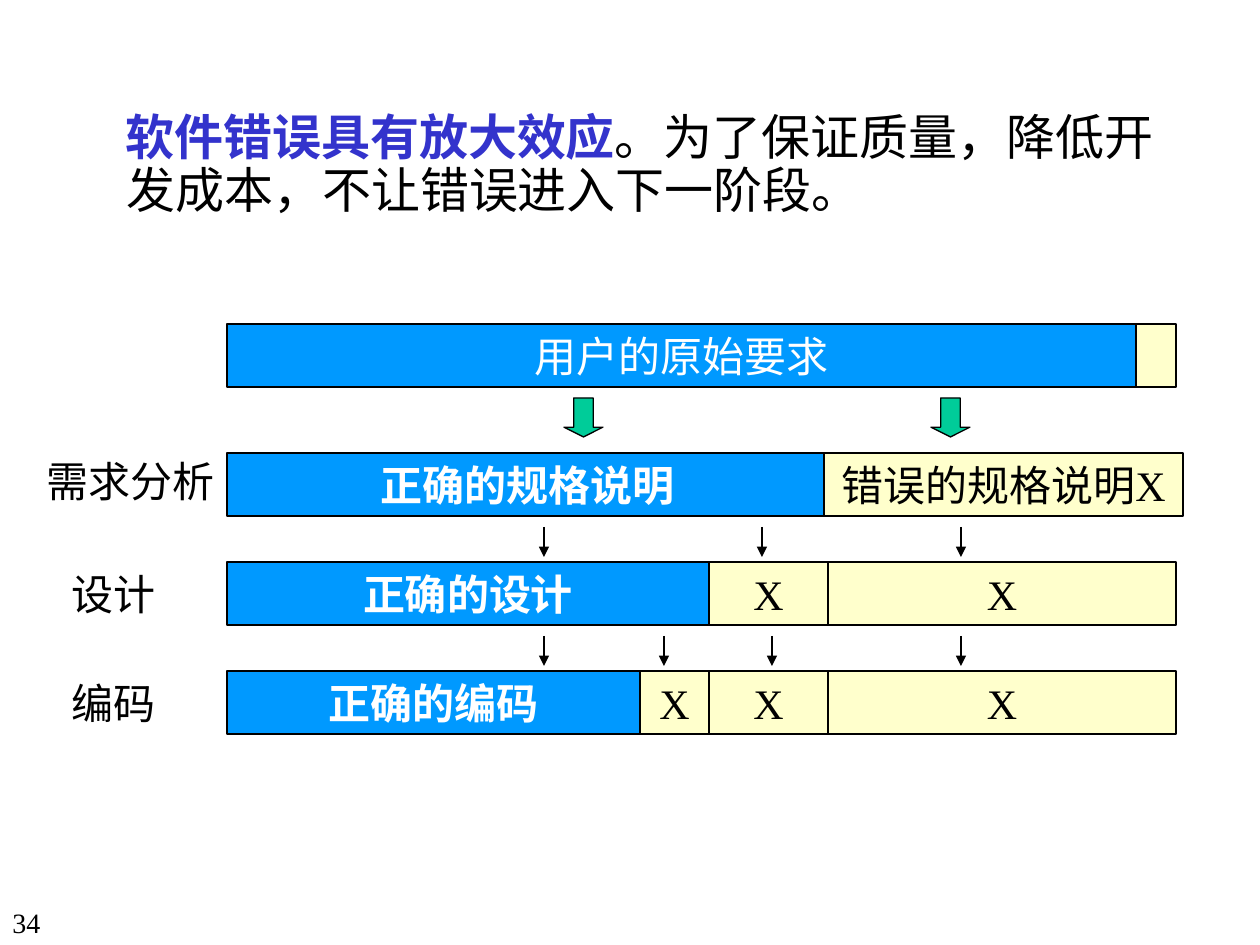
from dataclasses import dataclass

from lxml.etree import SubElement
from pptx import Presentation
from pptx.dml.color import RGBColor
from pptx.enum.shapes import MSO_CONNECTOR, MSO_SHAPE
from pptx.enum.text import MSO_ANCHOR, MSO_AUTO_SIZE, PP_ALIGN
from pptx.oxml.ns import qn
from pptx.util import Pt

EMU_PER_PX = 914400 / 126


@dataclass(frozen=True)
class Theme:
    font: str = "Times New Roman"
    ink: str = "000000"
    paper: str = "FFFFFF"
    accent: str = "3333CC"
    correct: str = "0099FF"
    wrong: str = "FFFFCC"
    arrow: str = "00CC99"
    lead_size: int = 28
    label_size: int = 24
    number_size: int = 16
    line_width: float = 0.75


THEME = Theme()


@dataclass(frozen=True)
class Box:
    left: int
    top: int
    width: int
    height: int

    def emu(self):
        return [px(n) for n in (self.left, self.top, self.width, self.height)]


def px(length):
    return round(length * EMU_PER_PX)


def style(span, size, color, bold=False):
    span.font.name = THEME.font
    span.font.size = Pt(size)
    span.font.bold = bold
    span.font.color.rgb = RGBColor.from_string(color)


def draw_line(line):
    line.color.rgb = RGBColor.from_string(THEME.ink)
    line.width = Pt(THEME.line_width)


def add_filled(page, kind, box, fill):
    shape = page.shapes.add_shape(kind, *box.emu())
    shape.shadow.inherit = False
    shape.fill.solid()
    shape.fill.fore_color.rgb = RGBColor.from_string(fill)
    draw_line(shape.line)
    return shape


def add_label(page, box, text, size):
    frame = page.shapes.add_textbox(*box.emu()).text_frame
    frame.word_wrap = False
    frame.text = text
    style(frame.paragraphs[0].runs[0], size, THEME.ink)


def add_bar(page, box, text, correct, bold):
    bar = add_filled(page, MSO_SHAPE.RECTANGLE, box,
                     THEME.correct if correct else THEME.wrong)
    if not text:
        return
    frame = bar.text_frame
    frame.word_wrap = len(text) < 8
    frame.vertical_anchor = MSO_ANCHOR.TOP
    frame.text = text
    para = frame.paragraphs[0]
    para.alignment = PP_ALIGN.CENTER
    style(para.runs[0], THEME.label_size,
          THEME.paper if correct else THEME.ink, bold)


def add_stage(page, box, bars, bold=True):
    """Bars are (offset, width, text); the first one is the correct part."""
    for index, (offset, width, text) in enumerate(bars):
        place = Box(box.left + offset, box.top, width, box.height)
        add_bar(page, place, text, index == 0, bold and index == 0)


def add_block_arrows(page, box, offsets):
    for offset in offsets:
        place = Box(box.left + offset, box.top, box.height, box.height)
        arrow = add_filled(page, MSO_SHAPE.DOWN_ARROW, place, THEME.arrow)
        arrow.adjustments[0] = 0.5
        arrow.adjustments[1] = 0.25


def add_thin_arrows(page, box, offsets):
    for offset in offsets:
        x = px(box.left + offset)
        arrow = page.shapes.add_connector(
            MSO_CONNECTOR.STRAIGHT, x, px(box.top), x, px(box.top + box.height))
        draw_line(arrow.line)
        line = arrow._element.spPr.find(qn("a:ln"))
        SubElement(line, qn("a:tailEnd"), type="triangle")
        SubElement(arrow._element.spPr, qn("a:effectLst"))


def add_lead(page, box):
    holder = page.placeholders[1]
    holder.left, holder.top, holder.width, holder.height = box.emu()
    frame = holder.text_frame
    frame.word_wrap = True
    frame.auto_size = MSO_AUTO_SIZE.NONE
    frame.vertical_anchor = MSO_ANCHOR.TOP
    para = frame.paragraphs[0]
    para.alignment = PP_ALIGN.LEFT
    para.line_spacing = 0.9
    para.space_before = Pt(0)
    properties = para._p.get_or_add_pPr()
    properties.set("marL", str(px(39)))
    properties.set("indent", str(px(-1)))
    spans = (
        ("软件错误具有放大效应", THEME.accent, True),
        ("。为了保证质量，降低开发成本，不让错误进入下一阶段。", THEME.ink, False),
    )
    for text, color, bold in spans:
        span = para.add_run()
        span.text = text
        style(span, THEME.lead_size, color, bold)


def add_diagram(page, box):
    def row(top, height=63):
        return Box(box.left, box.top + top, box.width, height)

    # Stages, from the requirements down to the code
    requirements, analysis, design, coding = row(0), row(129), row(238), row(347)
    inherited = [(482, 119, "X"), (601, 348, "X")]
    add_stage(page, requirements, [(0, 909, "用户的原始要求"), (909, 40, "")],
              bold=False)
    add_stage(page, analysis,
              [(0, 601, "正确的规格说明"), (597, 359, "错误的规格说明X")])
    add_stage(page, design, [(0, 482, "正确的设计"), *inherited])
    add_stage(page, coding, [(0, 413, "正确的编码"), (413, 69, "X"), *inherited])

    # Stage names, wide enough to stay on one line
    for stage, offset, rise, width, name in (
            (analysis, -193, 4, 196, "需求分析"),
            (design, -168, 0, 116, "设计"),
            (coding, -168, 0, 116, "编码")):
        add_label(page, Box(box.left + offset, stage.top - rise, width, 63),
                  name, THEME.label_size)

    # Arrows between the stages
    add_block_arrows(page, row(74, 39), (337, 704))
    add_thin_arrows(page, row(203, 30), (317, 535, 734))
    add_thin_arrows(page, row(312, 30), (317, 437, 545, 734))


def main():
    deck = Presentation()
    deck.slide_width, deck.slide_height = px(1260), px(945)
    page = deck.slides.add_slide(deck.slide_layouts[0])
    title = page.shapes.title._element
    title.getparent().remove(title)

    add_lead(page, Box(75, 107, 1131, 117))
    add_diagram(page, Box(227, 324, 949, 410))
    add_label(page, Box(0, 899, 64, 46), "34", THEME.number_size)
    deck.save("out.pptx")


if __name__ == "__main__":
    main()
